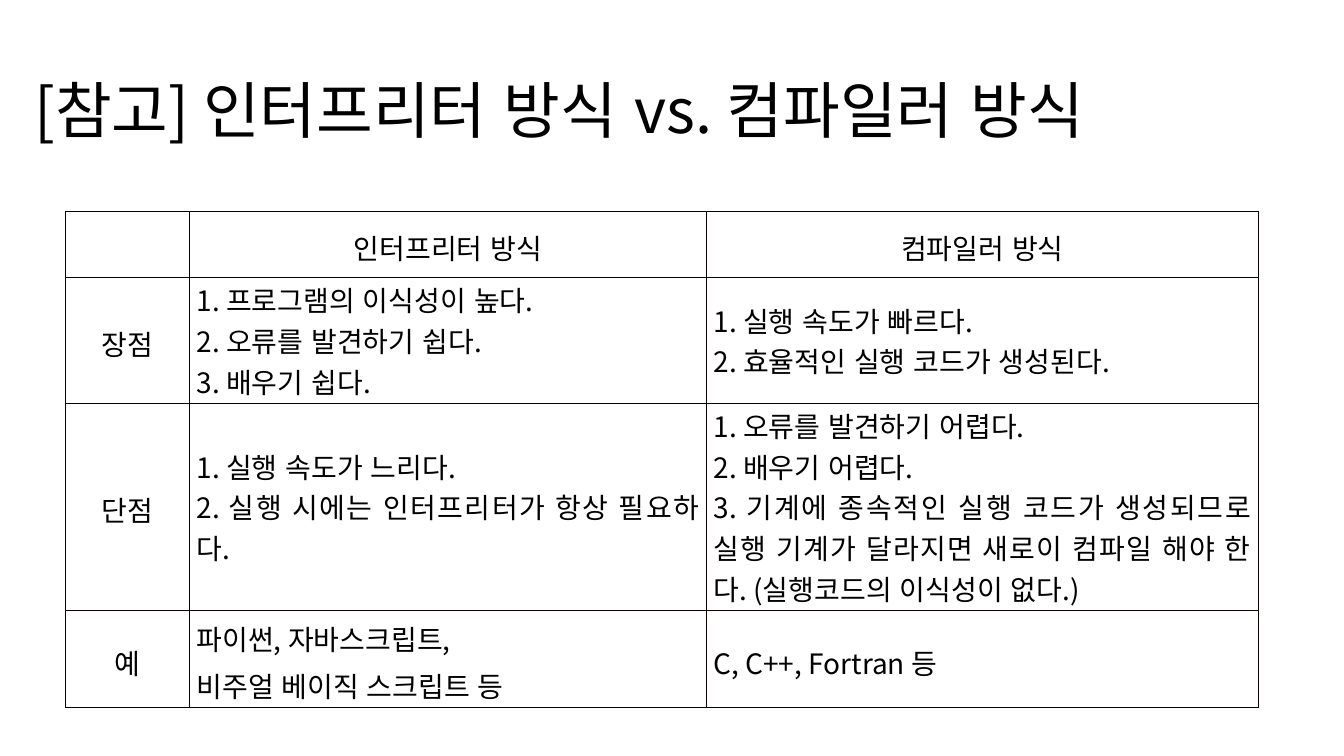
from lxml import etree
from pptx import Presentation
from pptx.dml.color import RGBColor
from pptx.enum.lang import MSO_LANGUAGE_ID
from pptx.enum.text import MSO_ANCHOR, MSO_AUTO_SIZE, PP_ALIGN
from pptx.oxml.ns import qn
from pptx.util import Pt

LEFT, CENTER, JUSTIFY = PP_ALIGN.LEFT, PP_ALIGN.CENTER, PP_ALIGN.JUSTIFY
MIDDLE = MSO_ANCHOR.MIDDLE
KOREAN = MSO_LANGUAGE_ID.KOREAN
BLACK = RGBColor(0, 0, 0)
WHITE = RGBColor(255, 255, 255)
BORDER = RGBColor(0x0A, 0, 0)
FONT = "Noto Sans CJK KR"
BORDER_WIDTH = Pt(0.28)

# Content: each cell is a list of paragraphs
TITLE = "[참고] 인터프리터 방식 vs. 컴파일러 방식"
COMPARISON = [
    [[], ["인터프리터 방식"], ["컴파일러 방식"]],
    [["장점"],
     ["1. 프로그램의 이식성이 높다.", "2. 오류를 발견하기 쉽다.", "3. 배우기 쉽다."],
     ["1. 실행 속도가 빠르다.", "2. 효율적인 실행 코드가 생성된다."]],
    [["단점"],
     ["1. 실행 속도가 느리다.", "2. 실행 시에는 인터프리터가 항상 필요하다."],
     ["1. 오류를 발견하기 어렵다.", "2. 배우기 어렵다.",
      "3. 기계에 종속적인 실행 코드가 생성되므로 실행 기계가 달라지면 "
      "새로이 컴파일 해야 한다. (실행코드의 이식성이 없다.)"]],
    [["예"],
     ["파이썬, 자바스크립트,", "비주얼 베이직 스크립트 등"],
     ["C, C++, Fortran 등"]],
]
COLUMN_WIDTHS = [88.5, 369.3, 394.2]
ROW_HEIGHTS = [47, 71.3, 137.5, 56.2]
TABLE_LEFT, TABLE_TOP = 46.8, 151
EXAMPLES_ROW = len(COMPARISON) - 1


def write(frame, lines, size, align, spacing=1.0, after=0):
    """Fill a text frame with one formatted paragraph per line."""
    for index, line in enumerate(lines):
        paragraph = frame.add_paragraph() if index else frame.paragraphs[0]
        paragraph.alignment = align
        paragraph.line_spacing = spacing
        paragraph.space_before = Pt(0)
        paragraph.space_after = Pt(after)
        # Keep closing punctuation inside the margin
        paragraph._p.get_or_add_pPr().set("hangingPunct", "0")
        run = paragraph.add_run()
        run.text = line
        run.font.size = Pt(size)
        run.font.color.rgb = BLACK
        run.font.name = FONT
        run.font.language_id = KOREAN
        # Unkerned spaces, and the same font for Korean text
        properties = run.font._element
        properties.set("kern", "0")
        east_asian = etree.Element(qn("a:ea"), typeface=FONT)
        properties.find(qn("a:latin")).addnext(east_asian)


def draw_borders(cell):
    properties = cell._tc.get_or_add_tcPr()
    for index, side in enumerate(("lnL", "lnR", "lnT", "lnB")):
        line = etree.Element(qn(f"a:{side}"), w=str(int(BORDER_WIDTH)))
        fill = etree.SubElement(line, qn("a:solidFill"))
        etree.SubElement(fill, qn("a:srgbClr"), val=str(BORDER))
        properties.insert(index, line)


presentation = Presentation()
presentation.slide_width, presentation.slide_height = Pt(960), Pt(540)
slide = presentation.slides.add_slide(presentation.slide_layouts[5])

# Title
title = slide.shapes.title
title.left, title.top, title.width, title.height = Pt(17.3), Pt(28.8), Pt(904.3), Pt(104.4)
title.text_frame.auto_size = MSO_AUTO_SIZE.NONE
title.text_frame.vertical_anchor = MIDDLE
write(title.text_frame, [TITLE], size=44, align=LEFT, spacing=0.9)

# Comparison table
comparison = slide.shapes.add_table(
    len(ROW_HEIGHTS), len(COLUMN_WIDTHS), Pt(TABLE_LEFT), Pt(TABLE_TOP),
    Pt(sum(COLUMN_WIDTHS)), Pt(sum(ROW_HEIGHTS))).table
for column, width in zip(comparison.columns, COLUMN_WIDTHS):
    column.width = Pt(width)
for row, height in zip(comparison.rows, ROW_HEIGHTS):
    row.height = Pt(height)

for r, row_content in enumerate(COMPARISON):
    for c, lines in enumerate(row_content):
        cell = comparison.cell(r, c)
        cell.vertical_anchor = MIDDLE
        cell.margin_left = cell.margin_right = Pt(5.1)
        cell.margin_top = cell.margin_bottom = Pt(1.4)
        cell.fill.solid()
        cell.fill.fore_color.rgb = WHITE
        draw_borders(cell)
        is_heading = r == 0 or c == 0
        write(cell.text_frame, lines, size=20,
              align=CENTER if is_heading else JUSTIFY,
              spacing=1.15 if is_heading or r == EXAMPLES_ROW else 1.0,
              after=10 if is_heading else 0)

presentation.save("out.pptx")
